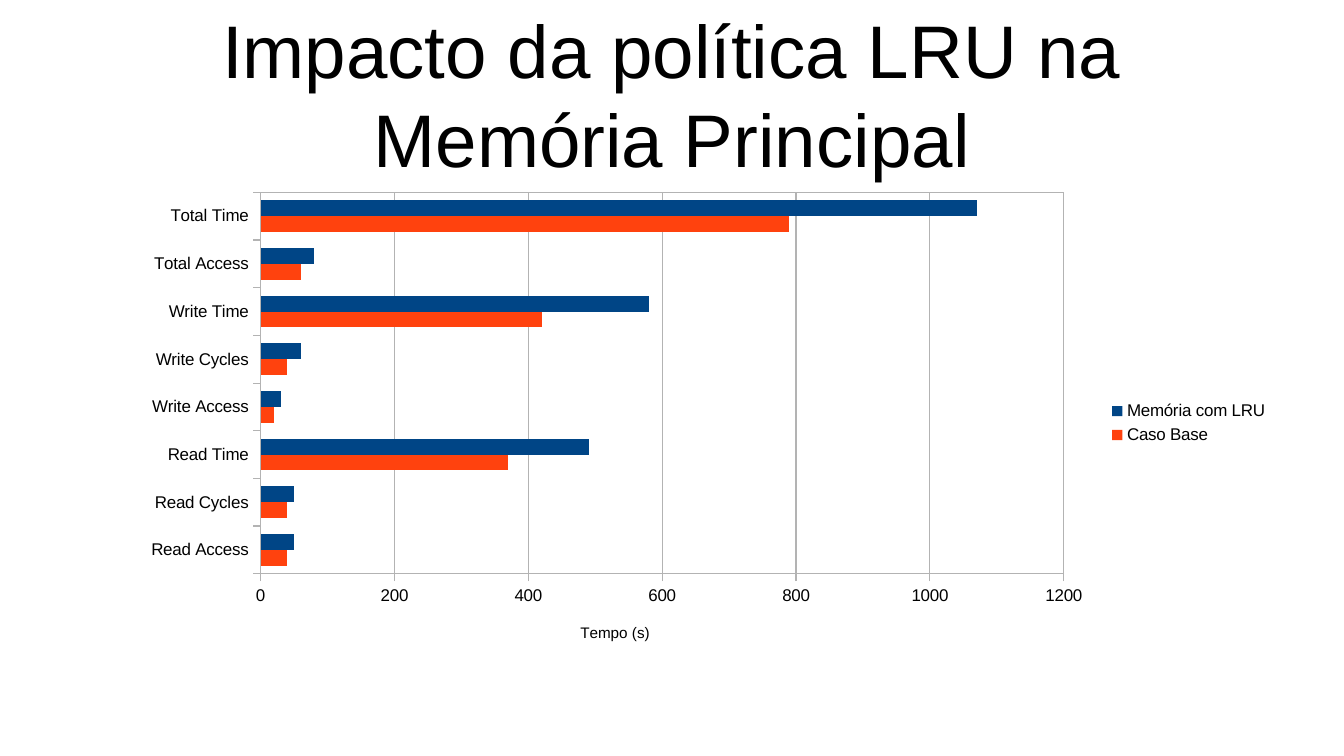
from lxml import etree
from pptx import Presentation
from pptx.chart.data import CategoryChartData
from pptx.dml.color import RGBColor
from pptx.enum.chart import XL_CHART_TYPE, XL_LEGEND_POSITION, XL_TICK_MARK
from pptx.enum.text import MSO_ANCHOR, PP_ALIGN
from pptx.oxml import parse_xml
from pptx.oxml.ns import nsdecls, qn
from pptx.util import Inches, Pt

CLUSTERED_BARS = XL_CHART_TYPE.BAR_CLUSTERED
LEGEND_RIGHT = XL_LEGEND_POSITION.RIGHT
TICK_OUTSIDE = XL_TICK_MARK.OUTSIDE
MIDDLE = MSO_ANCHOR.MIDDLE
CENTER = PP_ALIGN.CENTER

THEME = {
    "font": "Arial",
    "text": RGBColor.from_string("000000"),
    "grid": "B3B3B3",
    "base": RGBColor.from_string("FF420E"),
    "lru": RGBColor.from_string("004586"),
    "title_size": Pt(44),
    "label_size": Pt(10),
    "axis_title_size": Pt(9),
}
CATEGORIES = ["Read Access", "Read Cycles", "Read Time", "Write Access",
              "Write Cycles", "Write Time", "Total Access", "Total Time"]
SERIES = [
    ("Caso Base", "base", [40, 40, 370, 20, 40, 420, 60, 790]),
    ("Memória com LRU", "lru", [50, 50, 490, 30, 60, 580, 80, 1070]),
]


def style_font(font, size):
    font.name = THEME["font"]
    font.size = size
    font.bold = False
    font.color.rgb = THEME["text"]


def place_in_chart(element, index, inner=False, **shares):
    """Give a chart part a manual layout in shares of the chart's size."""
    for old in element.findall(qn("c:layout")):
        element.remove(old)
    layout = parse_xml(f"<c:layout {nsdecls('c')}><c:manualLayout/></c:layout>")
    settings = [("layoutTarget", "inner")] if inner else []
    settings += [("xMode", "edge"), ("yMode", "edge"), *shares.items()]
    for tag, value in settings:
        etree.SubElement(layout[0], qn(f"c:{tag}")).set("val", str(value))
    element.insert(index, layout)


prs = Presentation()
prs.slide_width, prs.slide_height = Inches(11.02), Inches(6.2)
width, height = prs.slide_width, prs.slide_height
slide = prs.slides.add_slide(prs.slide_layouts[6])

# Heading
heading = slide.shapes.add_textbox(
    int(width * 0.05), Inches(0.08), int(width * 0.9), Inches(1.37)).text_frame
heading.word_wrap = True
heading.vertical_anchor = MIDDLE
heading.margin_left = heading.margin_right = 0
heading.margin_top = heading.margin_bottom = 0
heading.text = "Impacto da política LRU na Memória Principal"
heading.paragraphs[0].alignment = CENTER
style_font(heading.paragraphs[0].runs[0].font, THEME["title_size"])

# Chart
timings = CategoryChartData()
timings.categories = CATEGORIES
for name, _, values in SERIES:
    timings.add_series(name, values)
chart = slide.shapes.add_chart(
    CLUSTERED_BARS, Inches(1.05), Inches(1.5), Inches(9.45), Inches(3.94),
    timings).chart
chart.has_title = False
style_font(chart.font, THEME["label_size"])

bars = chart.plots[0]
bars.gap_width = 100
bars.overlap = 0
bars.vary_by_categories = False
for series, (_, color, _) in zip(bars.series, SERIES):
    series.format.fill.solid()
    series.format.fill.fore_color.rgb = THEME[color]

# Axes
time_axis = chart.value_axis
time_axis.minimum_scale, time_axis.maximum_scale = 0, 1200
time_axis.major_unit = 200
time_axis.has_major_gridlines = True
for axis in (chart.category_axis, time_axis):
    axis.major_tick_mark = TICK_OUTSIDE
    style_font(axis.tick_labels.font, THEME["label_size"])
for line in (chart.category_axis.format.line, time_axis.format.line,
             time_axis.major_gridlines.format.line):
    line.color.rgb = RGBColor.from_string(THEME["grid"])
    line.width = 0

time_title = time_axis.axis_title
time_title.text_frame.text = "Tempo (s)"
style_font(time_title.text_frame.paragraphs[0].runs[0].font,
           THEME["axis_title_size"])
place_in_chart(time_title._element, 1, x=0.39, y=0.91)

# Plot area with a thin frame
plot_area = bars._element.getparent()
place_in_chart(plot_area, 0, inner=True, x=0.115, y=0.02, w=0.697, h=0.794)
plot_area.append(parse_xml(
    f"<c:spPr {nsdecls('c', 'a')}><a:noFill/><a:ln w='0'><a:solidFill>"
    f"<a:srgbClr val='{THEME['grid']}'/></a:solidFill></a:ln></c:spPr>"))

chart.has_legend = True
chart.legend.position = LEGEND_RIGHT
chart.legend.include_in_layout = False
style_font(chart.legend.font, THEME["label_size"])

prs.save("out.pptx")
